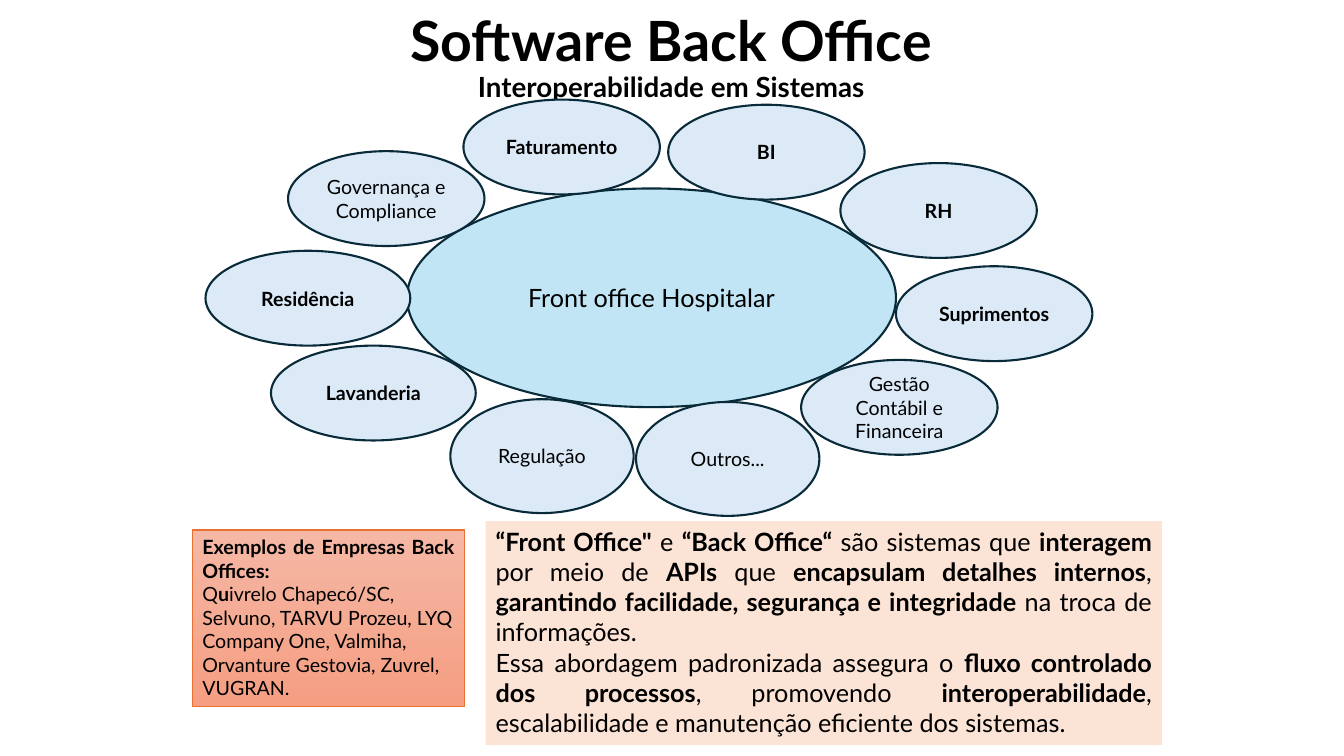
from pptx import Presentation
from pptx.dml.color import RGBColor
from pptx.enum.shapes import MSO_SHAPE
from pptx.enum.text import MSO_ANCHOR, MSO_AUTO_SIZE, PP_ALIGN
from pptx.util import Cm, Pt

FONT = "Lato"
COLORS = {
    "text": "000000",
    "outline": "092A39",
    "hub": "C1E5F5",
    "module": "DCEAF7",
    "examples_top": "F5B8A5",
    "examples_bottom": "F59E82",
    "examples_line": "E97132",
    "summary": "FBE3D6",
}

# Text between ** marks is bold.
TITLE_BOX = (5.97, 0.69, 21.89, 1.57)
TITLE_LINES = [("**Software Back Office**", 39.6), ("**Interoperabilidade em Sistemas**", 19.8)]

HUB = ("Front office Hospitalar", (10.26, 4.75, 12.32, 5.51))
WIDE, MEDIUM, TALL = (5.16, 2.39), (4.95, 2.39), (4.62, 2.87)
# Label, left and top, size; the first module lies behind the hub.
MODULES = [
    ("**Lavanderia**", (6.83, 8.71), WIDE),
    ("Governança e Compliance", (7.26, 3.81), MEDIUM),
    ("**Residência**", (5.18, 6.32), WIDE),
    ("Regulação", (11.35, 10.06), TALL),
    ("Gestão Contábil e Financeira", (20.19, 9.07), MEDIUM),
    ("**Suprimentos**", (22.58, 6.71), MEDIUM),
    ("**Faturamento**", (11.68, 2.51), MEDIUM),
    ("**RH**", (21.18, 4.11), MEDIUM),
    ("**BI**", (16.84, 2.64), MEDIUM),
    ("Outros...", (16.03, 10.13), TALL),
]

EXAMPLES_BOX = (4.85, 13.36, 6.86, 4.45)
EXAMPLES = [
    ("**Exemplos de Empresas Back Offices:**", PP_ALIGN.JUSTIFY),
    ("Q**u**ivrelo Chapecó/SC, Selvuno, TARVU Prozeu, LYQ Company One, Valmiha, "
     "Orvanture Gestovia, Zuvrel, VUGRAN.", PP_ALIGN.LEFT),
]

SUMMARY_BOX = (12.24, 13.13, 17.04, 5.64)
SUMMARY = [
    ("**“Front Office\"** e **“Back Office“** são sistemas que **interagem** por meio de "
     "**APIs** que **encapsulam detalhes internos**, **garantindo facilidade, segurança e "
     "integridade** na troca de informações.", PP_ALIGN.JUSTIFY),
    ("Essa abordagem padronizada assegura o **fluxo controlado dos processos**, promovendo "
     "**interoperabilidade**, escalabilidade e manutenção eficiente dos sistemas.",
     PP_ALIGN.JUSTIFY),
]


def color(name):
    return RGBColor.from_string(COLORS[name])


def write_paragraphs(shape, lines, anchor=MSO_ANCHOR.MIDDLE, line_spacing=None):
    """Fill a shape with (marked text, alignment, size) lines."""
    text_frame = shape.text_frame
    text_frame.word_wrap = True
    text_frame.auto_size = MSO_AUTO_SIZE.NONE
    text_frame.vertical_anchor = anchor
    for index, (marked_text, alignment, size) in enumerate(lines):
        paragraph = text_frame.add_paragraph() if index else text_frame.paragraphs[0]
        paragraph.alignment = alignment
        if line_spacing:
            paragraph.line_spacing = line_spacing
        for position, part in enumerate(marked_text.split("**")):
            if part:
                run = paragraph.add_run()
                run.text = part
                run.font.name = FONT
                run.font.size = Pt(size)
                run.font.bold = position % 2 == 1
                run.font.color.rgb = color("text")


def add_filled_shape(slide, kind, box, fill=None, line=None, line_width=1.5):
    shape = slide.shapes.add_shape(kind, *map(Cm, box))
    shape.shadow.inherit = False
    if fill:
        shape.fill.solid()
        shape.fill.fore_color.rgb = color(fill)
    if line:
        shape.line.color.rgb = color(line)
        shape.line.width = Pt(line_width)
    else:
        shape.line.fill.background()
    return shape


def add_ellipse(slide, label, box, fill, size):
    ellipse = add_filled_shape(slide, MSO_SHAPE.OVAL, box, fill, "outline")
    write_paragraphs(ellipse, [(label, PP_ALIGN.CENTER, size)])


def main():
    presentation = Presentation()
    presentation.slide_width, presentation.slide_height = Cm(33.87), Cm(19.05)
    slide = presentation.slides.add_slide(presentation.slide_layouts[6])

    title = slide.shapes.add_textbox(*map(Cm, TITLE_BOX))
    write_paragraphs(title, [(text, PP_ALIGN.CENTER, size) for text, size in TITLE_LINES],
                     line_spacing=0.9)

    for index, (label, place, size) in enumerate(MODULES):
        add_ellipse(slide, label, place + size, "module", 14)
        if index == 0:
            add_ellipse(slide, *HUB, "hub", 18)

    examples = add_filled_shape(slide, MSO_SHAPE.RECTANGLE, EXAMPLES_BOX,
                                line="examples_line", line_width=1)
    examples.fill.gradient()
    examples.fill.gradient_angle = 270
    for stop, name in zip(examples.fill.gradient_stops, ("examples_top", "examples_bottom")):
        stop.color.rgb = color(name)
    write_paragraphs(examples, [line + (14,) for line in EXAMPLES], MSO_ANCHOR.TOP)

    summary = add_filled_shape(slide, MSO_SHAPE.RECTANGLE, SUMMARY_BOX, "summary")
    write_paragraphs(summary, [line + (18,) for line in SUMMARY], MSO_ANCHOR.TOP)

    presentation.save("out.pptx")


if __name__ == "__main__":
    main()
